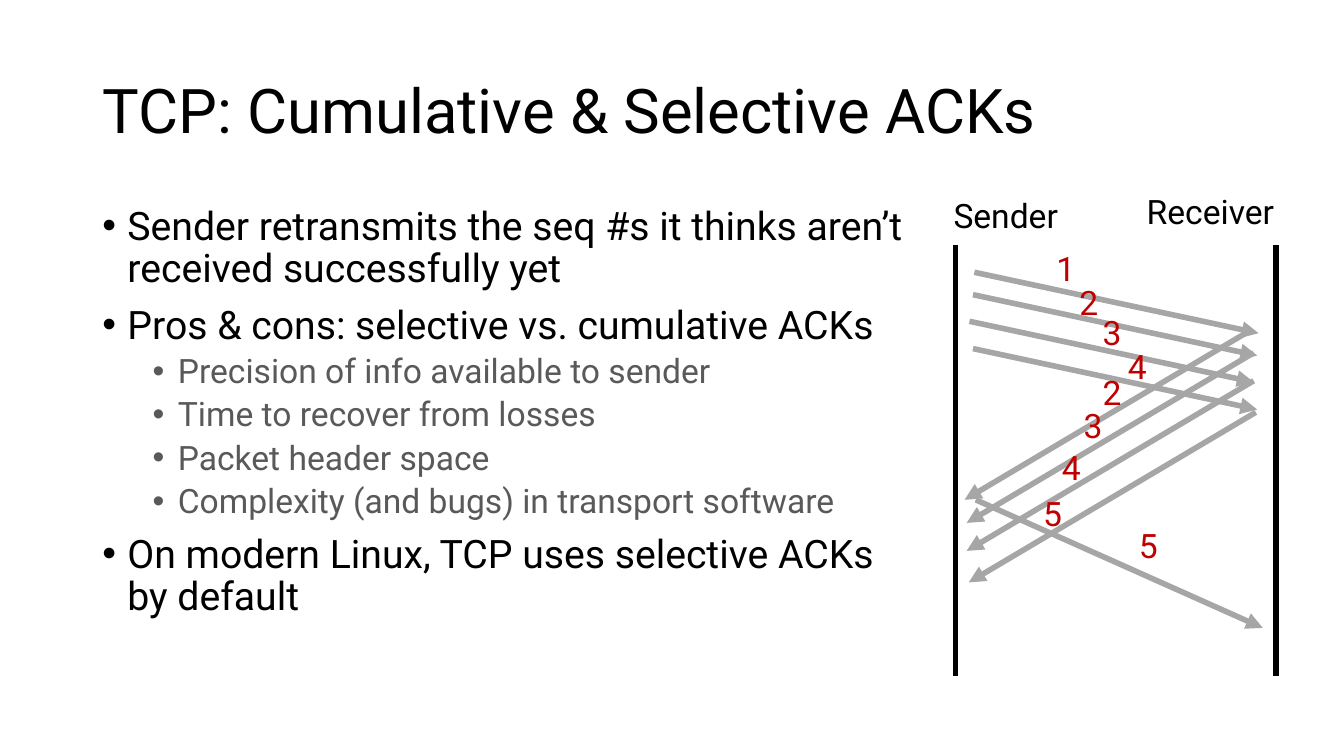
from lxml.etree import SubElement
from pptx import Presentation
from pptx.dml.color import RGBColor
from pptx.enum.shapes import MSO_CONNECTOR
from pptx.enum.text import MSO_ANCHOR
from pptx.oxml.ns import qn
from pptx.util import Pt

FONT = "Roboto"
BLACK, GREY, ARROW, RED = "000000", "595959", "A6A6A6", "C00000"

prs = Presentation()
prs.slide_width, prs.slide_height = Pt(960), Pt(540)
s = prs.slides.add_slide(prs.slide_layouts[6])


def add_text(x, y, w, h, lines, anchor=MSO_ANCHOR.TOP, spacing=None):
    """Add a text box; each line is (text, size, colour, bullet indent or None, space before)."""
    tf = s.shapes.add_textbox(Pt(x), Pt(y), Pt(w), Pt(h)).text_frame
    tf.word_wrap = True
    tf.vertical_anchor = anchor
    for i, (text, size, color, indent, before) in enumerate(lines):
        p = tf.paragraphs[0] if i == 0 else tf.add_paragraph()
        p.line_spacing = spacing
        p.space_before = Pt(before if i else 0)
        if indent is not None:
            pPr = p._p.get_or_add_pPr()
            pPr.set("marL", str(Pt(indent)))
            pPr.set("indent", str(Pt(-18)))
            SubElement(pPr, qn("a:buFont"), typeface="Arial")
            SubElement(pPr, qn("a:buChar"), char="•")
        r = p.add_run()
        r.text = text
        r.font.name = FONT
        r.font.size = Pt(size)
        r.font.color.rgb = RGBColor.from_string(color)


def add_line(x1, y1, x2, y2, color, arrow=True):
    c = s.shapes.add_connector(MSO_CONNECTOR.STRAIGHT, Pt(x1), Pt(y1), Pt(x2), Pt(y2))
    c.line.width = Pt(4)
    c.line.color.rgb = RGBColor.from_string(color)
    if arrow:
        SubElement(c.line._get_or_add_ln(), qn("a:tailEnd"), type="triangle")
    SubElement(c._element.spPr, qn("a:effectLst"))


# Title and bullets
add_text(66, 29, 828, 104, [("TCP: Cumulative & Selective ACKs", 44, BLACK, None, 0)],
         MSO_ANCHOR.MIDDLE, 0.9)

main_style = (28, BLACK, 18, 10)
sub_style = (24, GREY, 54, 5)
bullets = [
    ("Sender retransmits the seq #s it thinks aren’t received successfully yet", main_style),
    ("Pros & cons: selective vs. cumulative ACKs", main_style),
    ("Precision of info available to sender", sub_style),
    ("Time to recover from losses", sub_style),
    ("Packet header space", sub_style),
    ("Complexity (and bugs) in transport software", sub_style),
    ("On modern Linux, TCP uses selective ACKs by default", main_style),
]
add_text(66, 144, 597.5, 384.5, [(text, *style) for text, style in bullets], spacing=0.9)

# Sender and receiver timelines
for name, label_x, label_y, label_w, line_x in [("Sender", 674, 136, 109, 682.5),
                                                ("Receiver", 812, 133, 121, 911.5)]:
    add_text(label_x, label_y, label_w, 36, [(name, 24, BLACK, None, 0)])
    add_line(line_x, 175, line_x, 483, BLACK, arrow=False)

# Packets 1-4, their ACKs, then packet 5
packet_starts = [(696, 194.5), (695, 210.5), (692.5, 229.5), (695, 249)]
ack_starts = [(894, 235.5), (895.5, 252), (895.5, 272), (897, 294.5)]
for starts, dx, dy in [(packet_starts, 203, 43.5),
                       (ack_starts, -205, 121.5),
                       ([(697, 357)], 205, 91.5)]:
    for x, y in starts:
        add_line(x, y, x + dx, y + dy, ARROW)

# Sequence and ACK numbers
numbers = [
    ("1", 747.5, 173.5), ("2", 764, 197.5), ("3", 780.5, 219.5), ("4", 798.5, 243.5),
    ("2", 780.5, 262), ("3", 767, 286), ("4", 751.5, 315.5), ("5", 738, 348.5),
    ("5", 806.5, 371.5),
]
for number, x, y in numbers:
    add_text(x, y, 53, 36, [(number, 24, RED, None, 0)])

prs.save("out.pptx")
